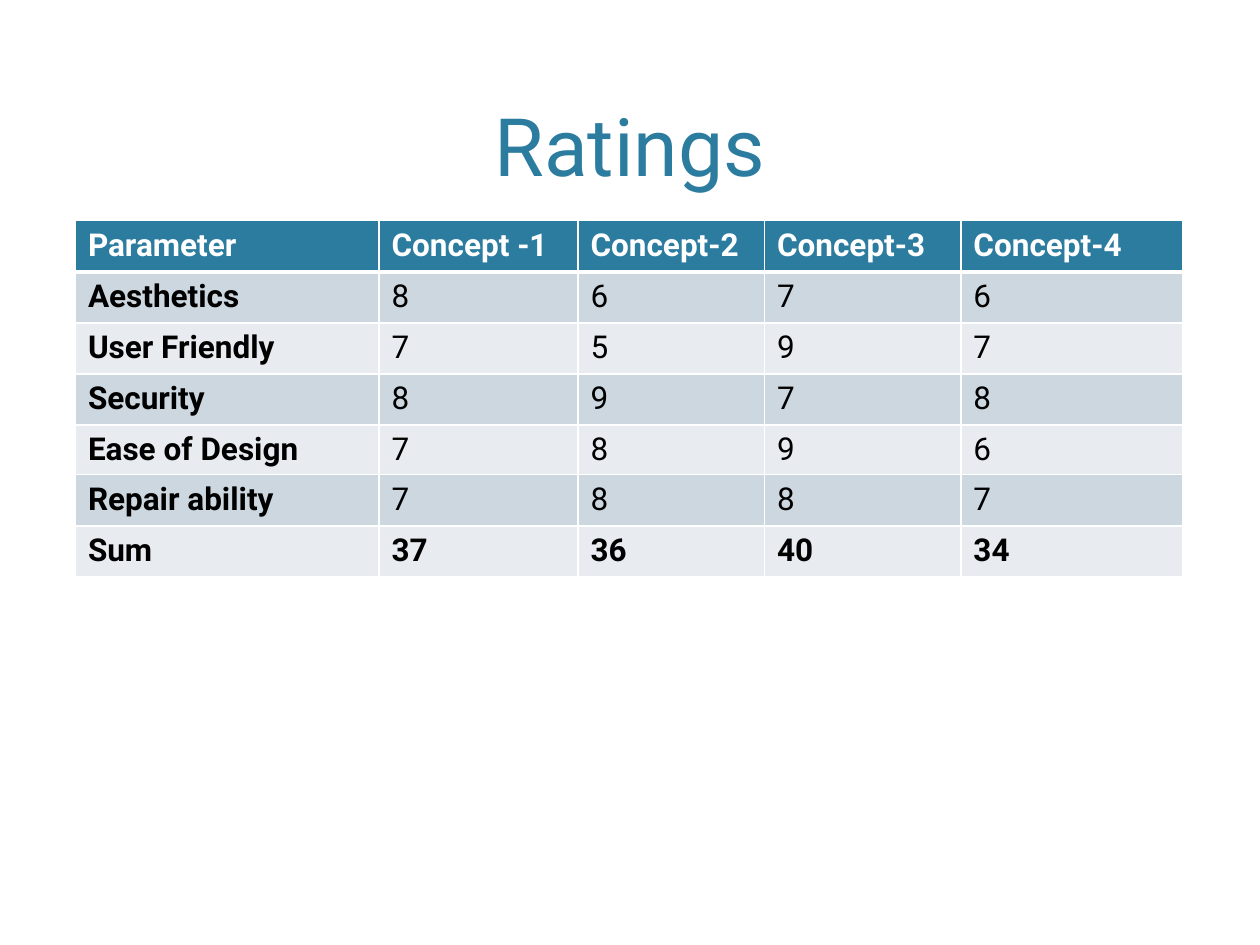
import pptx
import pptx.dml.color
import pptx.enum.text
import pptx.oxml
import pptx.oxml.ns
import pptx.util
from pptx.util import Cm

TITLE = "Ratings"
HEADINGS = ["Parameter", "Concept -1", "Concept-2", "Concept-3", "Concept-4"]
SCORES = {
    "Aesthetics": [8, 6, 7, 6],
    "User Friendly": [7, 5, 9, 7],
    "Security": [8, 9, 7, 8],
    "Ease of Design": [7, 8, 9, 6],
    "Repair ability": [7, 8, 8, 7],
}
TOTAL_LABEL = "Sum"

THEME = {
    "font": "Roboto",
    "accent": "2C7C9F",
    "white": "FFFFFF",
    "ink": "000000",
    "bands": ["CDD7DF", "E8ECF0"],
    "title_size": 46,
    "table_size": 18,
    "rule": 1,
    "header_rule": 3,
}

LEFT, WIDTH = 1.52, 22.35
TITLE_TOP, TITLE_HEIGHT = 0.3, 3.71
TABLE_TOP = 4.45
COLUMN_WIDTHS = [6.12, 4.01, 3.76, 3.96, 4.47]
ROW_HEIGHT, SHORT_ROW_HEIGHT = 1.03, 0.9
SHORT_ROW = "Ease of Design"


def rgb(code):
    return pptx.dml.color.RGBColor.from_string(code)


def write(frame, text, *, size, color, bold=False, align=None):
    para = frame.paragraphs[0]
    para.alignment = align
    span = para.add_run()
    span.text = text
    span.font.name = THEME["font"]
    span.font.size = pptx.util.Pt(size)
    span.font.bold = bold
    span.font.color.rgb = rgb(color)


def add_borders(cell, **widths):
    """Draw white cell edges; widths in points, keyed L, R, T, B."""
    properties = cell._tc.get_or_add_tcPr()
    for side, points in widths.items():
        properties.append(pptx.oxml.parse_xml(
            f'<a:ln{side} {pptx.oxml.ns.nsdecls("a")} w="{pptx.util.Pt(points)}">'
            f'<a:solidFill><a:srgbClr val="{THEME["white"]}"/></a:solidFill>'
            f'</a:ln{side}>'))


def add_title(page):
    box = page.shapes.title
    box.left, box.top = Cm(LEFT), Cm(TITLE_TOP)
    box.width, box.height = Cm(WIDTH), Cm(TITLE_HEIGHT)
    frame = box.text_frame
    frame.auto_size = pptx.enum.text.MSO_AUTO_SIZE.NONE
    frame.vertical_anchor = pptx.enum.text.MSO_ANCHOR.BOTTOM
    write(frame, TITLE, size=THEME["title_size"], color=THEME["accent"],
          align=pptx.enum.text.PP_ALIGN.CENTER)


def add_ratings(page):
    totals = [sum(column) for column in zip(*SCORES.values())]
    rows = [HEADINGS, *([name, *marks] for name, marks in SCORES.items()),
            [TOTAL_LABEL, *totals]]
    heights = [SHORT_ROW_HEIGHT if row[0] == SHORT_ROW else ROW_HEIGHT
               for row in rows]
    table = page.shapes.add_table(
        len(rows), len(HEADINGS), Cm(LEFT), Cm(TABLE_TOP),
        Cm(WIDTH), Cm(sum(heights))).table
    for column, width in zip(table.columns, COLUMN_WIDTHS):
        column.width = Cm(width)
    for r, (values, height) in enumerate(zip(rows, heights)):
        table.rows[r].height = Cm(height)
        header, total = r == 0, r == len(rows) - 1
        fill = THEME["accent"] if header else THEME["bands"][(r - 1) % 2]
        rule = THEME["rule"]
        top = THEME["header_rule"] if r == 1 else rule
        bottom = THEME["header_rule"] if header else rule
        for c, value in enumerate(values):
            cell = table.cell(r, c)
            add_borders(cell, L=rule, R=rule, T=top, B=bottom)
            cell.fill.solid()
            cell.fill.fore_color.rgb = rgb(fill)
            write(cell.text_frame, str(value), size=THEME["table_size"],
                  color=THEME["white"] if header else THEME["ink"],
                  bold=header or total or c == 0)


def main():
    deck = pptx.Presentation()
    deck.slide_width, deck.slide_height = Cm(25.4), Cm(19.05)
    page = deck.slides.add_slide(deck.slide_layouts.get_by_name("Title Only"))
    add_title(page)
    add_ratings(page)
    deck.save("out.pptx")


if __name__ == "__main__":
    main()
